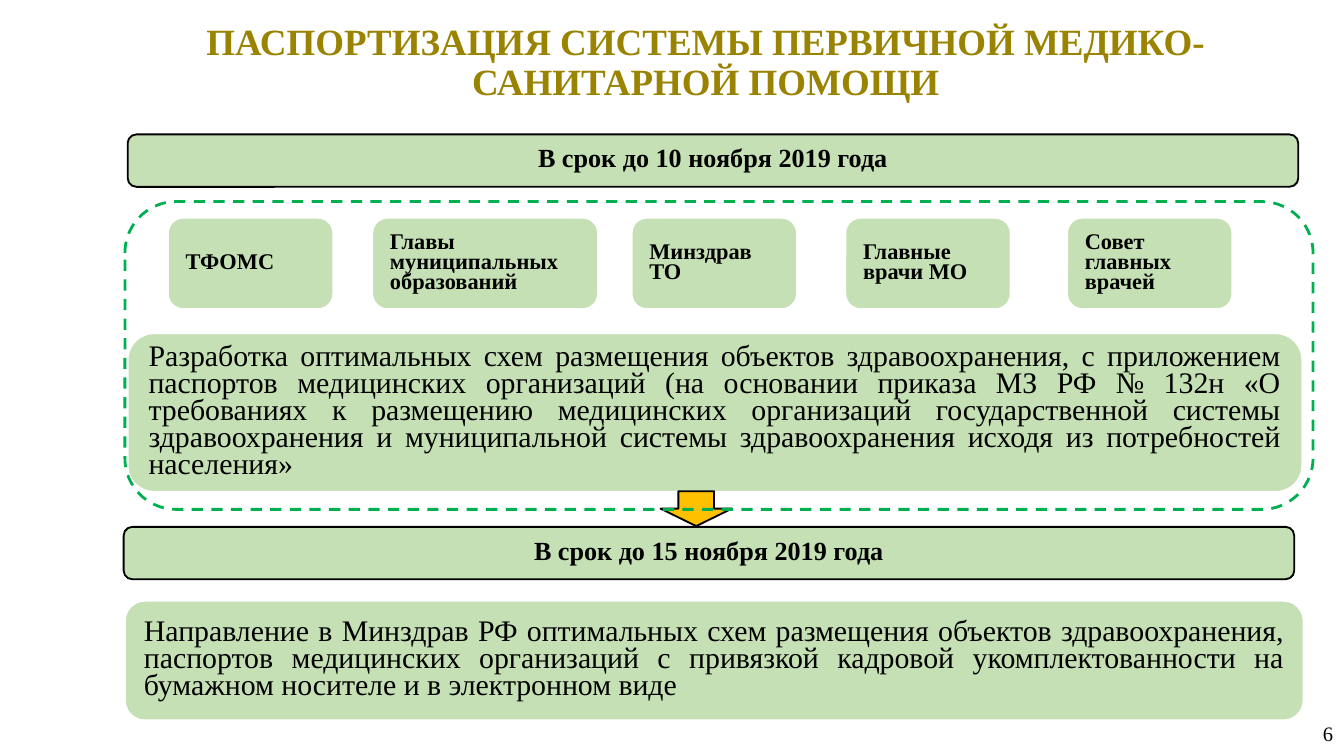
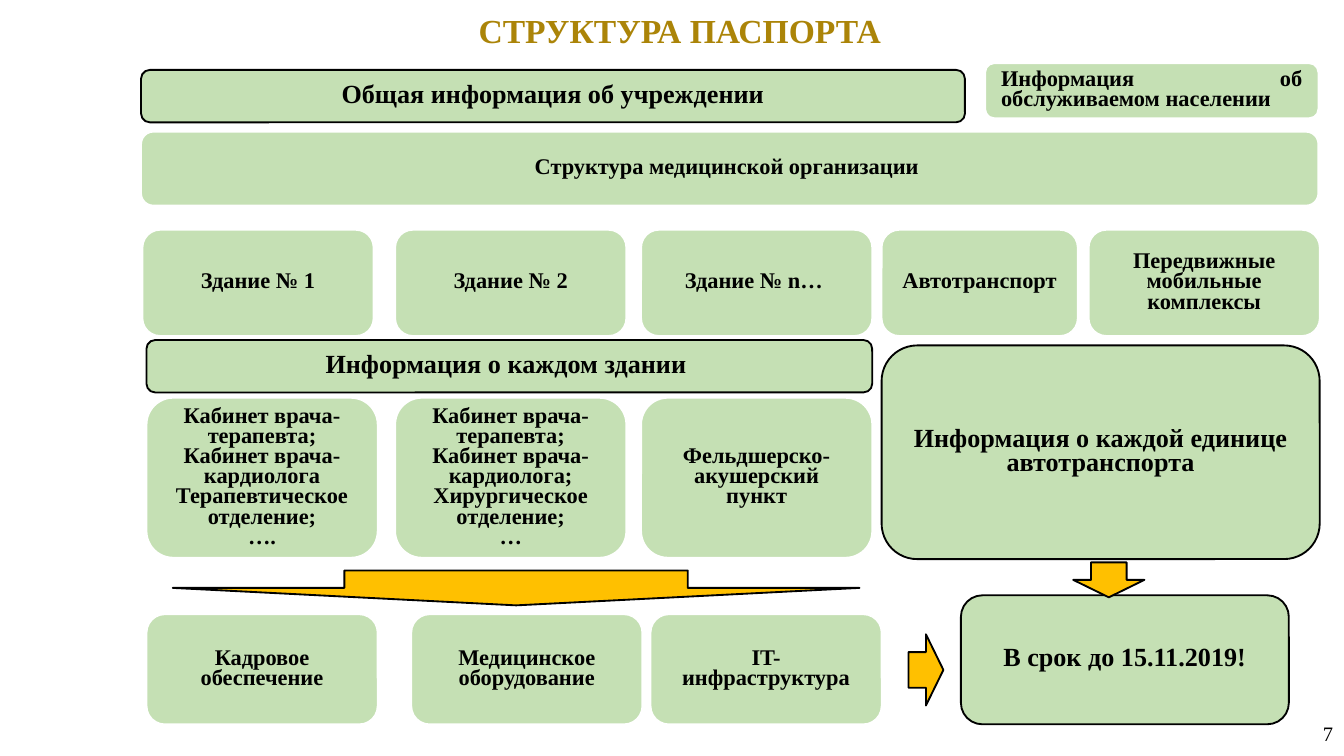
"""Build two slides about the passport system of primary health care."""
from pptx import Presentation
from pptx.dml.color import RGBColor
from pptx.enum.dml import MSO_LINE_DASH_STYLE as Dash
from pptx.enum.shapes import MSO_AUTO_SHAPE_TYPE as ShapeType
from pptx.enum.text import MSO_ANCHOR as Anchor, PP_ALIGN as Align
from pptx.util import Inches, Pt

COLORS = {
    "panel": "C5E0B4",
    "white": "FFFFFF",
    "black": "000000",
    "arrow": "FFC000",
    "frame": "00B050",
    "olive": "998300",
    "gold": "AB8408",
}
FONT = "Times New Roman"
PARTICIPANTS = [
    (1.25, 1.23, "ТФОМС"),
    (2.77, 1.68, "Главы муниципальных образований"),
    (4.7, 1.23, "Минздрав ТО"),
    (6.29, 1.23, "Главные врачи МО"),
    (7.94, 1.23, "Совет главных врачей"),
]
UNITS = [
    (1.06, 1.72, "Здание № 1"),
    (2.94, 1.72, "Здание № 2"),
    (4.77, 1.72, "Здание № n… "),
    (6.56, 1.46, "Автотранспорт"),
    (8.1, 1.72, "Передвижные мобильные комплексы"),
]
ROOMS = [
    (1.09, 1.72, "Кабинет врача-терапевта;\nКабинет врача-кардиолога\n"
                 "Терапевтическое отделение;\n…."),
    (2.94, 1.72, "Кабинет врача-терапевта;\nКабинет врача-кардиолога;\n"
                 "Хирургическое отделение;\n…"),
    (4.77, 1.72, "Фельдшерско-акушерский пункт"),
]
RESOURCES = [
    (1.09, 1.72, "Кадровое обеспечение"),
    (3.06, 1.72, "Медицинское оборудование"),
    (4.84, 1.72, "IT-инфраструктура"),
]


def rgb(name):
    """Return the named colour."""
    return RGBColor.from_string(COLORS[name])


def write(shape, text, size=12, color="black", bold=True, align=Align.CENTER,
          spacing=0.75, anchor=Anchor.MIDDLE, insets=(0.1, 0.05)):
    """Put formatted text in a shape, one paragraph per line."""
    frame = shape.text_frame
    frame.word_wrap = True
    frame.vertical_anchor = anchor
    frame.margin_left = frame.margin_right = Inches(insets[0])
    frame.margin_top = frame.margin_bottom = Inches(insets[1])
    frame.text = text
    for paragraph in frame.paragraphs:
        paragraph.alignment = align
        paragraph.line_spacing = spacing
        font = paragraph.font
        font.name, font.size, font.bold = FONT, Pt(size), bold
        font.color.rgb = rgb(color)


def add_label(slide, box, text, **text_format):
    """Add a text box."""
    shape = slide.shapes.add_textbox(*map(Inches, box))
    write(shape, text, **text_format)


def add_outline(slide, kind, box, fill=None, line="black", width=1):
    """Add a preset shape with the given fill and line."""
    shape = slide.shapes.add_shape(kind, *map(Inches, box))
    shape.shadow.inherit = False
    if fill:
        shape.fill.solid()
        shape.fill.fore_color.rgb = rgb(fill)
    else:
        shape.fill.background()
    shape.line.color.rgb = rgb(line)
    shape.line.width = Pt(width)
    return shape


def add_panel(slide, box, text, line="white", **text_format):
    """Add a green rounded panel with text."""
    shape = add_outline(slide, ShapeType.ROUNDED_RECTANGLE, box, "panel", line)
    write(shape, text, **text_format)


def add_heading(slide, box, text):
    """Add a panel with a black outline and larger text."""
    add_panel(slide, box, text, line="black", size=14)


def add_row(slide, top, height, items, **text_format):
    """Add a row of panels that share top and height."""
    for left, width, text in items:
        add_panel(slide, (left, top, width, height), text, **text_format)


def add_arrow(slide, box, rotation=90):
    """Add a block arrow, pointing down by default."""
    shape = add_outline(slide, ShapeType.RIGHT_ARROW, box, "arrow")
    shape.rotation = rotation


def add_slide(presentation, number):
    """Add a blank slide with its page number."""
    slide = presentation.slides.add_slide(presentation.slide_layouts[6])
    add_label(slide, (8.3, 5.31, 1.69, 0.3), str(number), size=11, bold=False,
              align=Align.RIGHT, spacing=1, insets=(0.07, 0.04))
    return slide


def build_schedule(presentation):
    """Build the slide with deadlines and participants."""
    slide = add_slide(presentation, 6)
    body = {"size": 16, "bold": False, "align": Align.JUSTIFY}
    add_panel(slide, (0.95, 2.48, 8.74, 1.18),
              "Разработка оптимальных схем размещения объектов здравоохранения, "
              "с приложением паспортов медицинских организаций (на основании "
              "приказа МЗ РФ № 132н «О требованиях к размещению медицинских "
              "организаций государственной системы здравоохранения и "
              "муниципальной системы здравоохранения исходя из потребностей "
              "населения» ", **body)
    add_label(slide, (1.01, 0.13, 8.48, 0.68),
              "ПАСПОРТИЗАЦИЯ СИСТЕМЫ ПЕРВИЧНОЙ МЕДИКО-САНИТАРНОЙ ПОМОЩИ",
              size=19.8, color="olive", spacing=0.9, insets=(0.07, 0.04))
    add_heading(slide, (0.95, 1, 8.71, 0.39), "В срок до 10 ноября 2019 года")
    add_panel(slide, (0.93, 4.47, 8.77, 0.89),
              "Направление в Минздрав РФ оптимальных схем размещения объектов "
              "здравоохранения, паспортов медицинских организаций с привязкой "
              "кадровой укомплектованности на бумажном носителе и в "
              "электронном виде ", **body)
    add_arrow(slide, (5.05, 3.52, 0.26, 0.53))
    frame = add_outline(slide, ShapeType.ROUNDED_RECTANGLE,
                        (0.93, 1.5, 8.84, 2.29), line="frame", width=1.5)
    frame.line.dash_style = Dash.DASH
    add_row(slide, 1.62, 0.68, PARTICIPANTS, align=Align.JUSTIFY)
    add_heading(slide, (0.92, 3.92, 8.71, 0.39), "В срок до 15 ноября 2019 года")


def build_structure(presentation):
    """Build the slide with the parts of the passport."""
    slide = add_slide(presentation, 7)
    add_panel(slide, (1.05, 0.98, 8.76, 0.55), "Структура медицинской организации ")
    add_panel(slide, (7.33, 0.47, 2.48, 0.41),
              "Информация об обслуживаемом населении", align=Align.JUSTIFY)
    add_label(slide, (1.29, 0.04, 7.6, 0.51), "СТРУКТУРА ПАСПОРТА ", size=18,
              color="gold", spacing=1, anchor=Anchor.TOP, insets=(0.05, 0.03))
    add_heading(slide, (1.05, 0.52, 6.13, 0.39), "Общая информация об учреждении")
    add_row(slide, 1.71, 0.79, UNITS)
    add_row(slide, 2.96, 1.19, ROOMS)
    add_heading(slide, (1.09, 2.53, 5.4, 0.39), "Информация о каждом здании ")
    add_arrow(slide, (3.71, 1.82, 0.26, 5.11))
    add_row(slide, 4.57, 0.82, RESOURCES)
    add_heading(slide, (6.56, 2.57, 3.26, 1.59),
                "Информация о каждой единице автотранспорта")
    add_heading(slide, (7.15, 4.43, 2.44, 0.96), "В срок до 15.11.2019!")
    add_arrow(slide, (6.76, 4.72, 0.26, 0.53), rotation=0)
    add_arrow(slide, (8.12, 4.05, 0.26, 0.53))


def main():
    """Create and save the presentation."""
    presentation = Presentation()
    presentation.slide_width = Inches(10)
    presentation.slide_height = Inches(10 * 9 / 16)
    build_schedule(presentation)
    build_structure(presentation)
    presentation.save("out.pptx")


if __name__ == "__main__":
    main()
